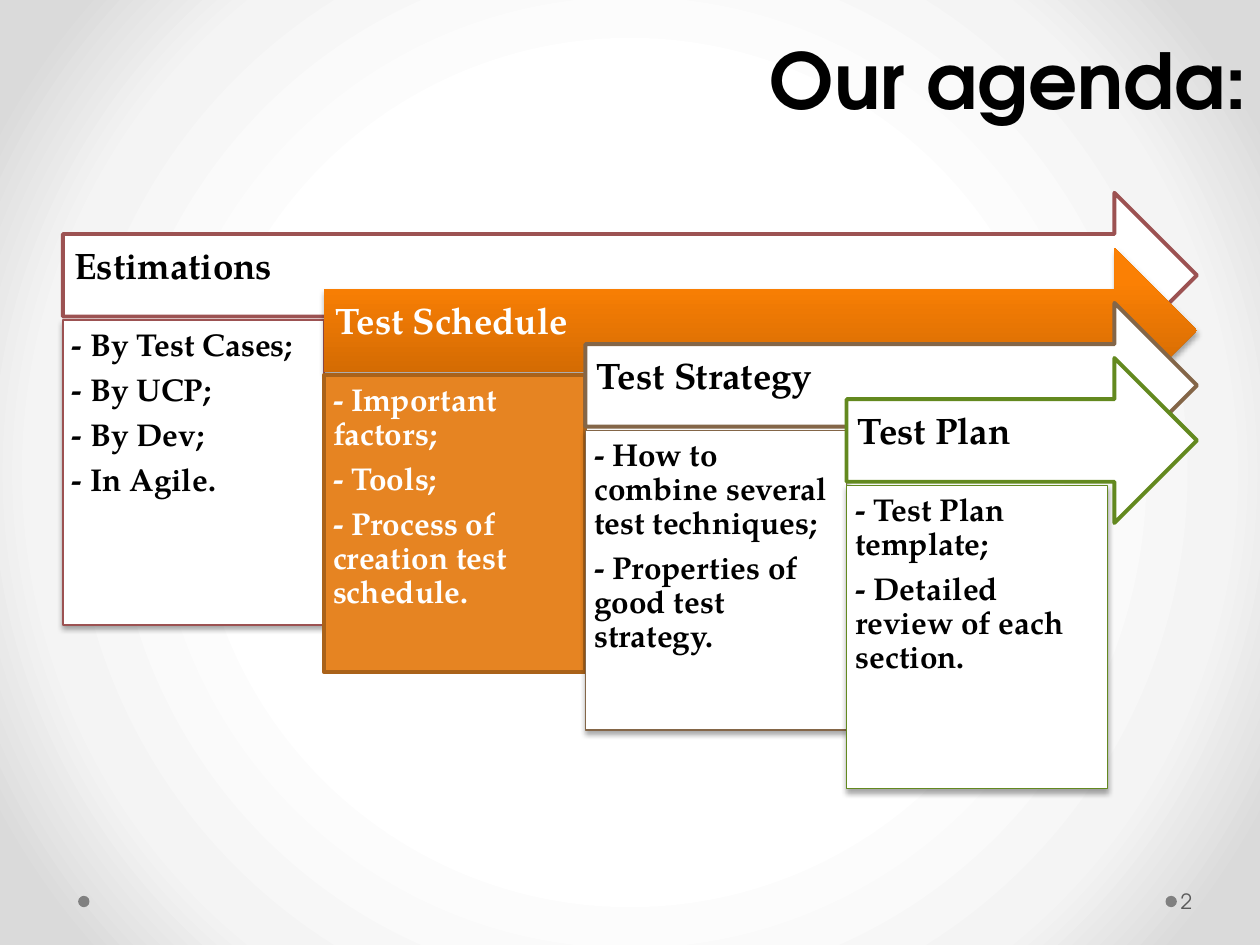
from dataclasses import dataclass

from pptx import Presentation
from pptx.dml.color import RGBColor
from pptx.enum.shapes import MSO_SHAPE
from pptx.enum.text import MSO_ANCHOR, PP_ALIGN
from pptx.oxml import parse_xml
from pptx.oxml.ns import nsdecls
from pptx.util import Inches, Pt


@dataclass(frozen=True)
class Theme:
    """Colours, fonts and type sizes of the slide."""
    heading_font: str = "TeX Gyre Adventor"
    body_font: str = "TeX Gyre Pagella"
    title_size: float = 44
    step_size: float = 21
    topic_size: float = 18
    number_size: float = 12
    black: str = "000000"
    white: str = "FFFFFF"
    dot: str = "808080"
    number: str = "595959"
    glow: tuple = ((50, "FFFFFF"), (76, "F4F4F4"), (92, "DADADA"))
    highlight: tuple = ((0, "C26203"), (0.8, "FB8004"))
    highlight_panel: str = "E68422"
    highlight_line: str = "AA6219"


@dataclass(frozen=True)
class Step:
    """One agenda step with its topics and panel height."""
    name: str
    topics: tuple
    accent: str
    panel_height: float
    highlighted: bool = False


THEME = Theme()
LEFT, TOP, RIGHT = 0.5, 1.53, 9.5
COLUMN, ROW = 2.073, 0.437
ARROW_HEIGHT, PANEL_DROP = 1.31, 1.01
THICK, THIN = 2.25, 0.75

STEPS = (
    Step("Estimations", ("- By Test Cases;", "- By UCP;", "- By Dev;", "- In Agile."),
         "9C5252", 2.42),
    Step("Test Schedule",
         ("- Important factors;", "- Tools;", "- Process of creation test schedule."),
         THEME.highlight_line, 2.36, True),
    Step("Test Strategy",
         ("- How to combine several test techniques;", "- Properties of good test strategy."),
         "846648", 2.38),
    Step("Test Plan", ("- Test Plan template;", "- Detailed review of each section."),
         "63891F", 2.41),
)


def rgb(code):
    """Return the colour of a hex code."""
    return RGBColor.from_string(code)


def paint_background(slide):
    """Fill the background with a round gradient."""
    stops = "".join(
        f'<a:gs pos="{share * 1000}"><a:srgbClr val="{code}"/></a:gs>'
        for share, code in THEME.glow)
    slide.background.fill.solid()
    properties = slide._element.cSld.bg.bgPr
    properties.replace(properties[0], parse_xml(
        f'<a:gradFill {nsdecls("a")} rotWithShape="1"><a:gsLst>{stops}</a:gsLst>'
        '<a:path path="circle"><a:fillToRect l="50000" t="50000" r="50000" b="50000"/>'
        '</a:path></a:gradFill>'))


def add_soft_shadow(shape):
    """Give a shape a soft shadow below it."""
    properties = shape._element.spPr
    properties.remove(properties.find(
        "{http://schemas.openxmlformats.org/drawingml/2006/main}effectLst"))
    properties.append(parse_xml(
        f'<a:effectLst {nsdecls("a")}><a:outerShdw blurRad="39370" dist="22860" '
        'dir="5400000" rotWithShape="0"><a:srgbClr val="000000"><a:alpha val="35000"/>'
        '</a:srgbClr></a:outerShdw></a:effectLst>'))


def add_block(slide, preset, box, fill, line=None, width=THIN):
    """Add a preset shape with a flat fill and an optional outline."""
    block = slide.shapes.add_shape(preset, *map(Inches, box))
    block.shadow.inherit = False
    block.fill.solid()
    block.fill.fore_color.rgb = rgb(fill)
    if line:
        block.line.color.rgb = rgb(line)
        block.line.width = Pt(width)
    else:
        block.line.fill.background()
    return block


def style(paragraph, font, size, color, bold=True):
    """Set the font of a paragraph."""
    paragraph.font.name = font
    paragraph.font.size = Pt(size)
    paragraph.font.bold = bold
    paragraph.font.color.rgb = rgb(color)


def write(shape, lines, size, color, insets, anchor):
    """Write left-aligned lines of body text into a shape."""
    frame = shape.text_frame
    frame.word_wrap = True
    frame.vertical_anchor = anchor
    frame.margin_left, frame.margin_top, frame.margin_right, frame.margin_bottom = map(
        Inches, insets)
    frame.text = "\n".join(lines)
    for paragraph in frame.paragraphs:
        paragraph.alignment = PP_ALIGN.LEFT
        paragraph.line_spacing = 0.9
        paragraph.space_after = Pt(0.35 * size)
        style(paragraph, THEME.body_font, size, color)


def add_arrow(slide, step, left, top):
    """Add the arrow that names a step."""
    box = (left, top, RIGHT - left, ARROW_HEIGHT)
    line = None if step.highlighted else step.accent
    arrow = add_block(slide, MSO_SHAPE.RIGHT_ARROW, box, THEME.white, line, THICK)
    if step.highlighted:
        arrow.fill.gradient()
        arrow.fill.gradient_angle = 90
        for stop, (position, code) in zip(arrow.fill.gradient_stops, THEME.highlight):
            stop.position = position
            stop.color.rgb = rgb(code)
        add_soft_shadow(arrow)
    color = THEME.white if step.highlighted else THEME.black
    write(arrow, [step.name], THEME.step_size, color, (0.09, 0.09, 0.28, 0.21),
          MSO_ANCHOR.MIDDLE)


def add_panel(slide, step, left, top):
    """Add the panel that lists the topics of a step."""
    box = (left, top, COLUMN, step.panel_height)
    if step.highlighted:
        fill, color, width = THEME.highlight_panel, THEME.white, THICK
    else:
        fill, color, width = THEME.white, THEME.black, THIN
    panel = add_block(slide, MSO_SHAPE.RECTANGLE, box, fill, step.accent, width)
    if not step.highlighted:
        add_soft_shadow(panel)
    write(panel, step.topics, THEME.topic_size, color, (0.07,) * 4, MSO_ANCHOR.TOP)


def add_title(slide, text):
    """Place the slide title at the top right."""
    title = slide.shapes.title
    title.left, title.top, title.width, title.height = map(Inches, (1, 0, 9, 1.25))
    title.text_frame.text = text
    title.text_frame.vertical_anchor = MSO_ANCHOR.MIDDLE
    heading = title.text_frame.paragraphs[0]
    heading.alignment = PP_ALIGN.RIGHT
    style(heading, THEME.heading_font, THEME.title_size, THEME.black)


def add_footer(slide, number):
    """Add the footer dots and the page number."""
    for left in (9.25, 0.62):
        add_block(slide, MSO_SHAPE.OVAL, (left, 7.11, 0.09, 0.09), THEME.dot)
    frame = slide.shapes.add_textbox(*map(Inches, (9.34, 6.95, 0.61, 0.4))).text_frame
    frame.word_wrap = True
    frame.vertical_anchor = MSO_ANCHOR.MIDDLE
    frame.margin_left = Inches(0.03)
    frame.margin_right = Inches(0.05)
    frame.text = number
    style(frame.paragraphs[0], THEME.heading_font, THEME.number_size, THEME.number, False)


def main():
    """Build the agenda slide."""
    deck = Presentation()
    deck.slide_width, deck.slide_height = Inches(10), Inches(7.5)
    slide = deck.slides.add_slide(deck.slide_layouts[5])
    paint_background(slide)
    add_title(slide, "Our agenda:")
    for index, step in enumerate(STEPS):
        left, top = LEFT + index * COLUMN, TOP + index * ROW
        add_arrow(slide, step, left, top)
        add_panel(slide, step, left, top + PANEL_DROP)
    add_footer(slide, "2")
    deck.save("out.pptx")


if __name__ == "__main__":
    main()
